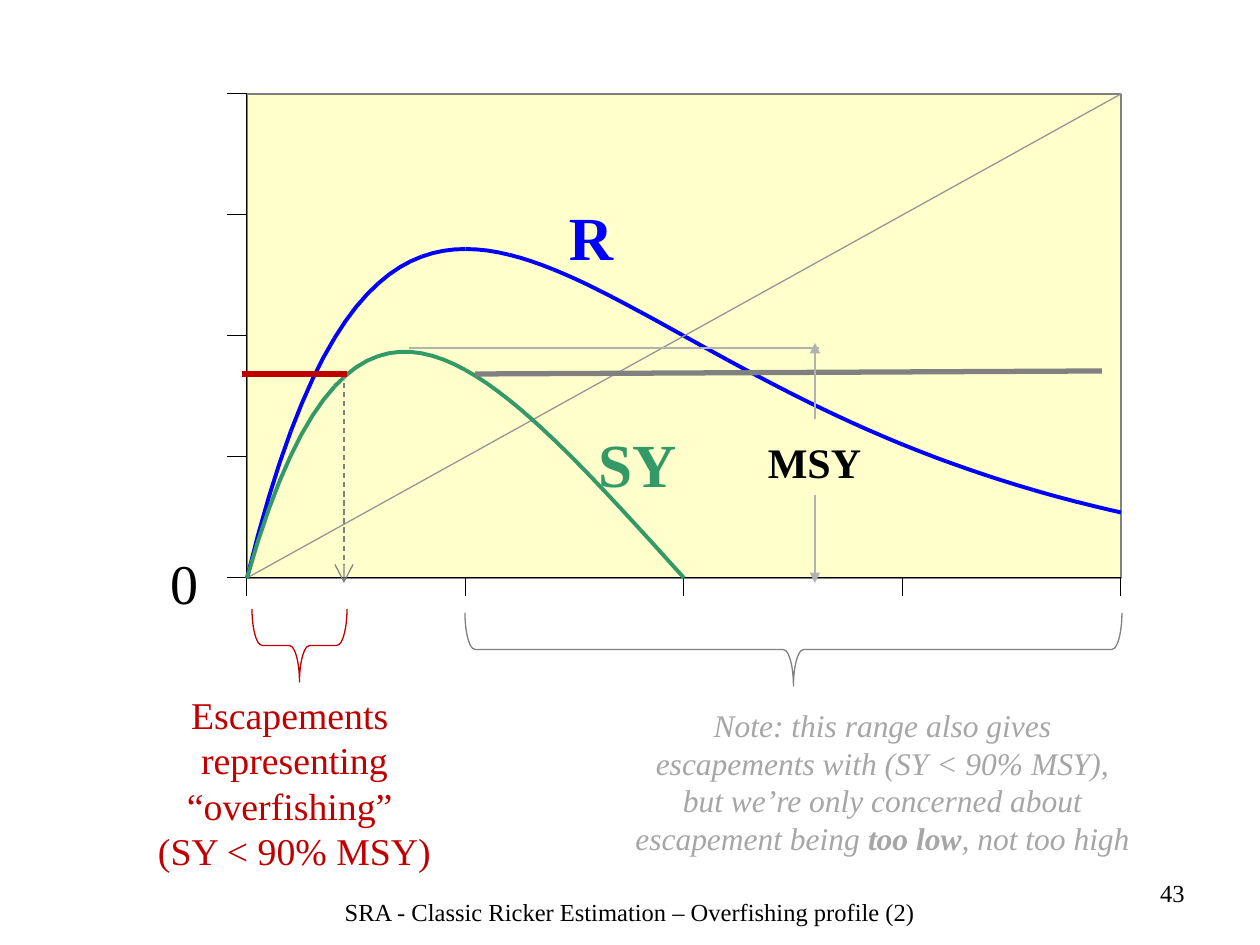
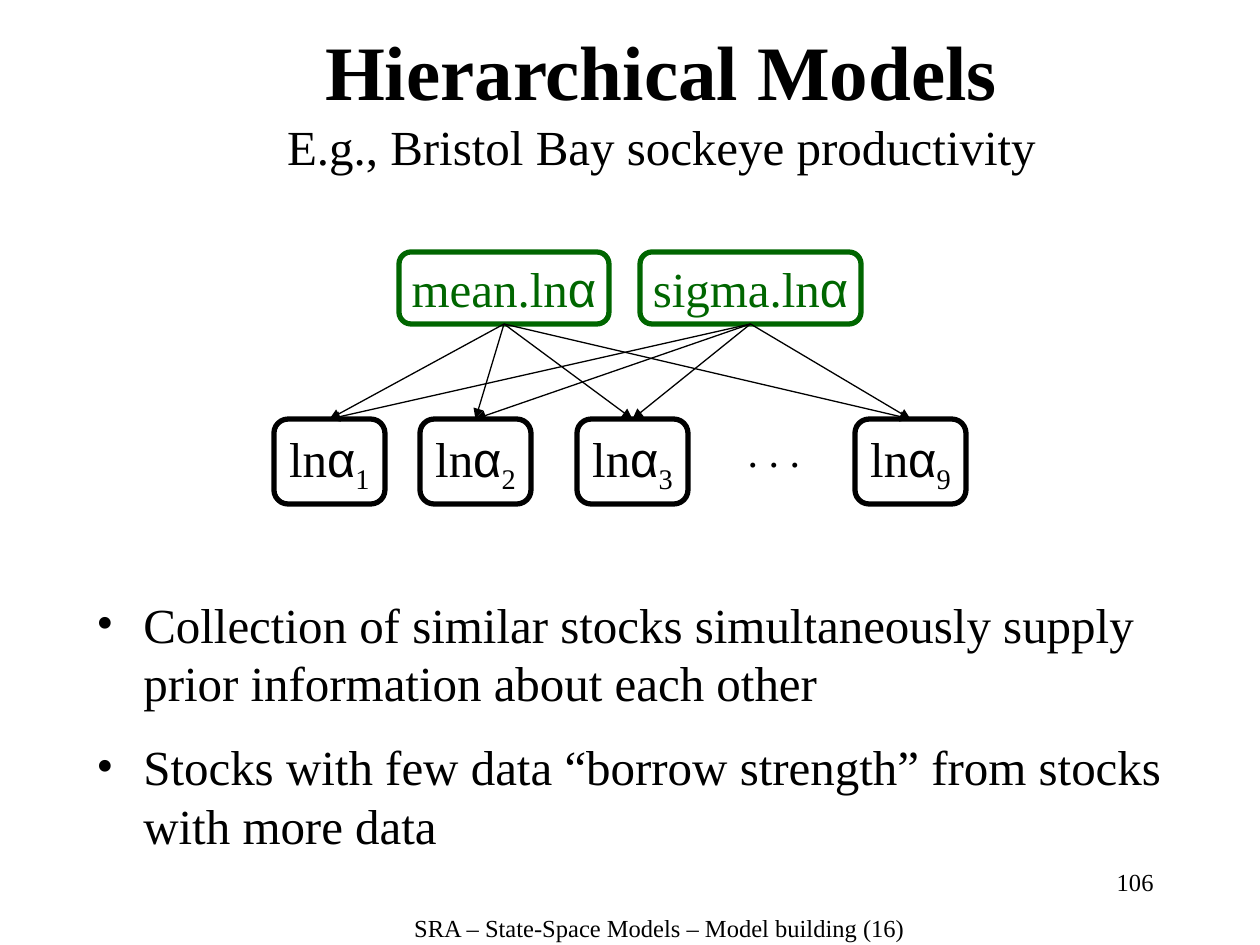
from math import exp

from pptx import Presentation
from pptx import util as u
from pptx.dml.color import RGBColor
from pptx.enum import dml, shapes, text
from pptx.oxml.ns import qn
from lxml import etree

# ---- Shared look ----
PX = 914400 / 126
SERIF, SANS = "Times New Roman", "Arial"
BLACK, WHITE, CREAM = "000000", "FFFFFF", "FFFFCC"
BLUE, GREEN, FOREST, RED = "0000FF", "339966", "006600", "C00000"
GREY, MID_GREY, PALE_GREY, NOTE_GREY = "808080", "969696", "B2B2B2", "A6A6A6"
ALIGN = {"l": text.PP_ALIGN.LEFT, "c": text.PP_ALIGN.CENTER, "r": text.PP_ALIGN.RIGHT}
BULLET_INDENT = 47

# ---- Slide 1: Ricker curve, in units of the escapement with most recruits ----
PLOT_L, PLOT_T, PLOT_W, PLOT_H = 247, 94, 874, 484
PLOT_R, PLOT_B = PLOT_L + PLOT_W, PLOT_T + PLOT_H
AXIS_MAX, REPLACEMENT = 4, 2
PIECE, STEPS = 0.2, 4  # length of one piece of a curve, steps in it
TICK_X, TICK_Y = 18, 19
PLOT_LABELS = [  # words, box, format
    ("0", (170, 548, 32, 67), dict(size=32)),
    ("R", (569, 199, 44, 73), dict(size=35, color=BLUE, bold=True)),
    ("SY", (598, 426, 82, 73), dict(size=35, color=GREEN, bold=True)),
]
GUIDES = [  # start, end, colour, width, extras
    ((1102, 371), (475, 374), GREY, 3, {}),
    ((344, 374), (344, 583), GREY, 0.75, dict(dash=True, head="arrow", head_size="lg")),
    ((409, 348), (819, 348), PALE_GREY, 0.75, {}),
    ((815, 495), (815, 583), PALE_GREY, 0.75, dict(head="triangle")),
    ((815, 419), (815, 343), PALE_GREY, 0.75, dict(head="triangle")),
    ((242, 374), (347, 374), RED, 3, {}),
]
BRACES = [((252, 609, 95, 73), RED), ((465, 613, 657, 73), GREY)]
OVERFISHING = "Escapements \nrepresenting “overfishing” \n(SY < 90% MSY)"
NOTE = [
    "Note: this range also gives escapements with (SY < 90% MSY), "
    "but we’re only concerned about escapement being ",
    ("too low", dict(bold=True)),
    ", not too high",
]

# ---- Slide 2: hierarchy ----
ALPHA = ("α", dict(font=SANS))
PARENTS = [("mean.ln", 399, 210), ("sigma.ln", 640, 221)]  # words, left, width
PARENT_T, PARENT_H = 252, 72
CHILDREN = [("1", 274), ("2", 420), ("3", 577), ("9", 855)]  # index, left
CHILD_T, CHILD_W, CHILD_H = 419, 111, 85
BULLETS = [
    "Collection of similar stocks simultaneously supply prior information about each other",
    "Stocks with few data “borrow strength” from stocks with more data",
]


def emu(px):
    return u.Emu(round(px * PX))


def rgb(value):
    return RGBColor.from_string(value)


def style(sp, fill=None, line=None, width=0.75):
    sp.shadow.inherit = False
    if fill:
        sp.fill.solid()
        sp.fill.fore_color.rgb = rgb(fill)
    else:
        sp.fill.background()
    if line:
        sp.line.color.rgb = rgb(line)
        sp.line.width = u.Pt(width)
    else:
        sp.line.fill.background()
    return sp


def add_run(p, words, size=18, color=BLACK, bold=False, italic=False, font=SERIF, baseline=0):
    for i, part in enumerate(words.split("\n")):
        if i:
            p.add_line_break()
        if not part:
            continue
        r = p.add_run()
        r.text = part
        f = r.font
        f.size, f.bold, f.italic, f.name = u.Pt(size), bold, italic, font
        f.color.rgb = rgb(color)
        if baseline:
            r._r.get_or_add_rPr().set("baseline", str(baseline * 1000))


def add_bullet(p):
    pPr = p._p.get_or_add_pPr()
    pPr.set("marL", str(emu(BULLET_INDENT)))
    pPr.set("indent", str(emu(-BULLET_INDENT)))
    etree.SubElement(pPr, qn("a:buFont")).set("typeface", SERIF)
    etree.SubElement(pPr, qn("a:buChar")).set("char", "•")


def write(sp, paragraphs, align="c", anchor="t", wrap=True, inset=None, bullet=False, **fmt):
    """Fill a shape; a paragraph is a string or a list of runs."""
    tf = sp.text_frame
    tf.word_wrap = wrap
    tf.vertical_anchor = {"t": text.MSO_ANCHOR.TOP, "m": text.MSO_ANCHOR.MIDDLE}[anchor]
    if inset is not None:
        tf.margin_left = tf.margin_right = tf.margin_top = tf.margin_bottom = emu(inset)
    for i, runs in enumerate(paragraphs):
        p = tf.add_paragraph() if i else tf.paragraphs[0]
        p.alignment = ALIGN[align]
        if bullet:
            add_bullet(p)
            if i:
                p.space_before = u.Pt(14)
        for run in [runs] if isinstance(runs, str) else runs:
            words, extra = (run, {}) if isinstance(run, str) else run
            add_run(p, words, **{**fmt, **extra})
    return sp


def text_box(s, box, paragraphs, grow=False, **fmt):
    sp = write(s.shapes.add_textbox(*map(emu, box)), paragraphs, **fmt)
    if grow:
        sp.text_frame.auto_size = text.MSO_AUTO_SIZE.SHAPE_TO_FIT_TEXT
    return sp


def add_line(s, start, end, color=BLACK, width=0.75, dash=False, head=None, head_size="med"):
    c = s.shapes.add_connector(shapes.MSO_CONNECTOR.STRAIGHT, *map(emu, (*start, *end)))
    c.line.color.rgb = rgb(color)
    ln = c.line._get_or_add_ln()
    ln.set("w", str(u.Pt(width)))  # written out so that a hairline keeps its zero
    if dash:
        c.line.dash_style = dml.MSO_LINE.DASH
    if head:
        tail = etree.SubElement(ln, qn("a:tailEnd"))
        for key, value in (("type", head), ("w", head_size), ("len", head_size)):
            tail.set(key, value)
    etree.SubElement(c._element.spPr, qn("a:effectLst"))
    return c


def add_footer(s, caption, caption_box, number, number_box):
    text_box(s, number_box, [number], align="r", size=14)
    text_box(s, caption_box, [caption], size=14)


def plot_point(escapement, value):
    return (emu(PLOT_L + PLOT_W * escapement / AXIS_MAX),
            emu(PLOT_B - PLOT_H * value / AXIS_MAX))


def recruits(escapement):
    return escapement * exp(REPLACEMENT - escapement)


def sustained_yield(escapement):
    return recruits(escapement) - escapement


def add_curve(s, func, last, color):
    for piece in range(round(last / PIECE)):
        xs = [PIECE * (piece + i / STEPS) for i in range(STEPS + 1)]
        points = [plot_point(x, func(x)) for x in xs]
        builder = s.shapes.build_freeform(*points[0])
        builder.add_line_segments(points[1:], close=False)
        style(builder.convert_to_shape(), line=color, width=2.25)


def add_brace(s, box, color):
    """Brace pointing down that covers the box once it is turned."""
    left, top, w, h = box
    frame = (left + (w - h) / 2, top + (h - w) / 2, h, w)
    sp = s.shapes.add_shape(shapes.MSO_SHAPE.LEFT_BRACE, *map(emu, frame))
    sp.rotation = 270
    sp.adjustments[0], sp.adjustments[1] = 0.14, 0.5
    style(sp, line=color)


def add_node(s, box, runs, color):
    sp = s.shapes.add_shape(shapes.MSO_SHAPE.FLOWCHART_ALTERNATE_PROCESS, *map(emu, box))
    style(sp, WHITE, color, 3)
    return write(sp, [runs], anchor="m", wrap=False, size=28, color=color)


def overfishing_slide(s):
    # Plot area, its frame, axes and ticks
    for fill, line in ((CREAM, None), (None, GREY)):
        area = s.shapes.add_shape(shapes.MSO_SHAPE.RECTANGLE,
                                  *map(emu, (PLOT_L, PLOT_T, PLOT_W, PLOT_H)))
        style(area, fill, line)
    add_line(s, (PLOT_L, PLOT_T), (PLOT_L, PLOT_B), width=0)
    add_line(s, (PLOT_L, PLOT_B), (PLOT_R, PLOT_B), width=0)
    for i in range(AXIS_MAX + 1):
        x = PLOT_L + PLOT_W * i / AXIS_MAX
        y = PLOT_B - PLOT_H * i / AXIS_MAX
        add_line(s, (PLOT_L - TICK_Y, y), (PLOT_L, y), width=0)
        add_line(s, (x, PLOT_B + TICK_X), (x, PLOT_B), width=0)

    # Curves and replacement line
    add_curve(s, recruits, AXIS_MAX, BLUE)
    add_line(s, (PLOT_L, PLOT_B), (PLOT_R, PLOT_T), MID_GREY)
    add_curve(s, sustained_yield, REPLACEMENT, GREEN)

    # Labels, guides and braces
    for words, box, fmt in PLOT_LABELS:
        text_box(s, box, [words], grow=True, align="l", wrap=False, inset=0, **fmt)
    for start, end, color, width, extras in GUIDES:
        add_line(s, start, end, color, width, **extras)
    text_box(s, (752, 430, 125, 63), ["MSY"], grow=True, size=24, bold=True)
    for box, color in BRACES:
        add_brace(s, box, color)

    # Explanations
    text_box(s, (116, 683, 357, 199), [OVERFISHING], anchor="m", size=21.6, color=RED)
    text_box(s, (621, 682, 523, 199), [NOTE], anchor="m", size=18, color=NOTE_GREY, italic=True)
    add_footer(s, "SRA - Classic Ricker Estimation – Overfishing profile (2)",
               (252, 891, 756, 53), "43", (935, 872, 262, 63))


def hierarchy_slide(s):
    title = [("Hierarchical Models\n", dict(size=44, bold=True)),
             "E.g., Bristol Bay sockeye productivity"]
    text_box(s, (126, 10, 1071, 179), [title], anchor="m", size=28)

    # Every parent feeds every child
    parents = [add_node(s, (left, PARENT_T, w, PARENT_H), [words, ALPHA], FOREST)
               for words, left, w in PARENTS]
    children = [add_node(s, (left, CHILD_T, CHILD_W, CHILD_H),
                         ["ln", ALPHA, (index, dict(baseline=-25))], BLACK)
                for index, left in CHILDREN]
    for parent in parents:
        for child in children:
            c = add_line(s, (0, 0), (0, 0), head="triangle")
            c.begin_connect(parent, 2)
            c.end_connect(child, 0)
    text_box(s, (735, 419, 78, 63), [". . ."], grow=True, wrap=False, size=24)

    text_box(s, (84, 588, 1124, 305), BULLETS, align="l", bullet=True, size=28)
    add_footer(s, "SRA – State-Space Models – Model building (16)",
               (313, 907, 693, 34), "106", (904, 861, 262, 63))


def main():
    prs = Presentation()
    prs.slide_width, prs.slide_height = emu(1260), emu(945)
    for build in (overfishing_slide, hierarchy_slide):
        build(prs.slides.add_slide(prs.slide_layouts[6]))
    prs.save("out.pptx")


if __name__ == "__main__":
    main()
